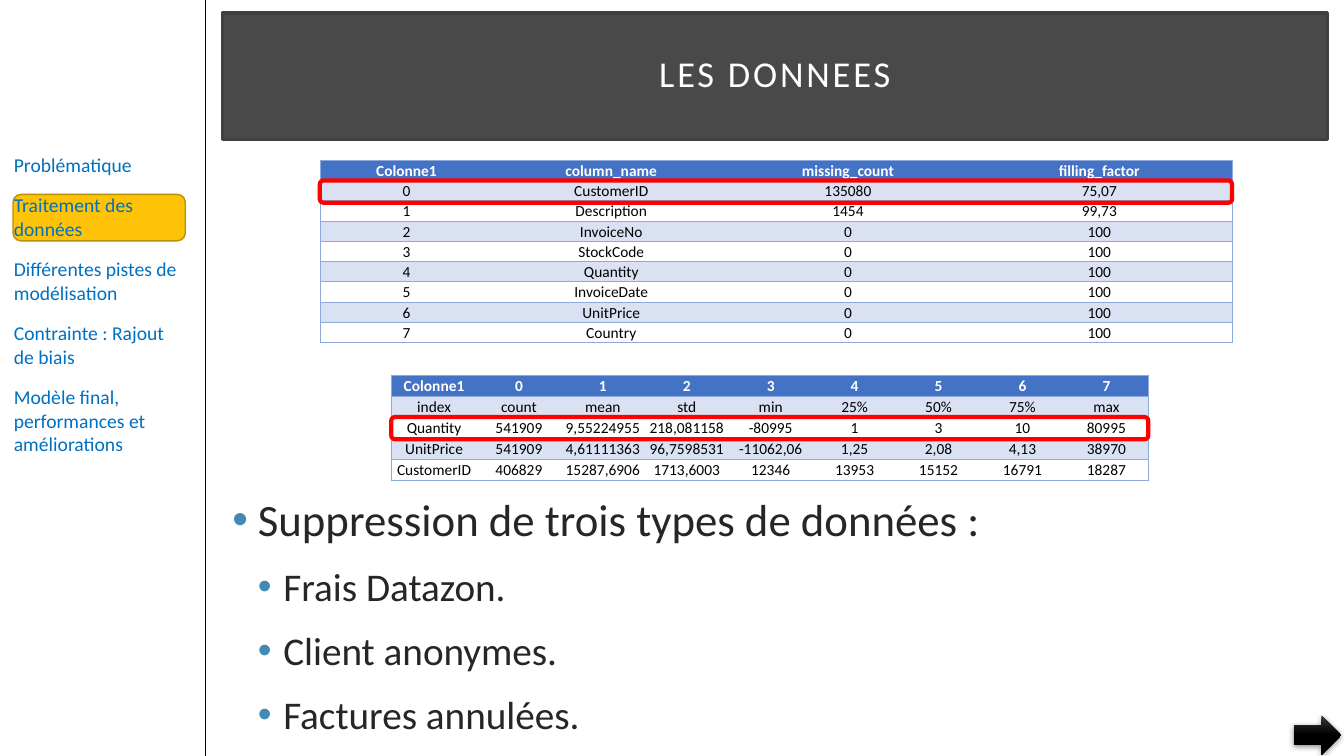
"""Build the "LES DONNEES" slide: navigation sidebar, two data tables and a bullet list."""
from dataclasses import dataclass

from lxml import etree
from pptx import Presentation
from pptx import util as u
from pptx.dml.color import RGBColor
from pptx.enum import shapes, text
from pptx.oxml.ns import qn


@dataclass(frozen=True)
class Theme:
    font: str = "Calibri"
    nav: str = "0070C0"
    active: str = "FEC306"
    active_line: str = "BC9004"
    banner: str = "0D0D0D"
    banner_line: str = "404040"
    white: str = "FFFFFF"
    black: str = "000000"
    gloss: str = "393939"
    header: str = "4472C4"
    band: str = "D9E1F2"
    border: str = "8EA9DB"
    highlight: str = "FF0000"
    body: str = "262626"
    bullet: str = "418AB3"
    nav_size: int = 14
    title_size: int = 26
    table_size: int = 11
    body_size: int = 32
    sub_size: int = 28


theme = Theme()


def add_run(paragraph, words, size, color, bold=False):
    run = paragraph.add_run()
    run.text = words
    run.font.name = theme.font
    run.font.size = u.Pt(size)
    run.font.bold = bold
    run.font.color.rgb = RGBColor.from_string(color)
    return run


def add_element(parent, tag, **attributes):
    return etree.SubElement(parent, qn(tag), {name: str(value) for name, value in attributes.items()})


presentation = Presentation()
presentation.slide_width, presentation.slide_height = u.Cm(33.87), u.Cm(19.05)
slide = presentation.slides.add_slide(presentation.slide_layouts[5])

active_section = slide.shapes.add_shape(
    shapes.MSO_SHAPE.ROUNDED_RECTANGLE, u.Cm(0.33), u.Cm(4.9), u.Cm(4.34), u.Cm(1.17))
active_section.shadow.inherit = False
active_section.fill.solid()
active_section.fill.fore_color.rgb = RGBColor.from_string(theme.active)
active_section.line.color.rgb = RGBColor.from_string(theme.active_line)
active_section.line.width = u.Pt(1)

divider = slide.shapes.add_connector(
    shapes.MSO_CONNECTOR.STRAIGHT, u.Cm(5.18), 0, u.Cm(5.18), presentation.slide_height)
divider.line.color.rgb = RGBColor.from_string(theme.black)
divider.line.width = u.Pt(1)
add_element(divider.element.spPr, "a:effectLst")

sections = ["Problématique", "Traitement des données", "Différentes pistes de modélisation",
            "Contrainte : Rajout de biais", "Modèle final, performances et améliorations"]
sidebar = slide.shapes.add_textbox(u.Cm(0.1), u.Cm(3.73), u.Cm(4.9), u.Cm(7.95)).text_frame
sidebar.word_wrap = True
for index, section in enumerate(sections):
    paragraph = sidebar.add_paragraph() if index else sidebar.paragraphs[0]
    paragraph.space_before = paragraph.space_after = u.Pt(6)
    add_run(paragraph, section, theme.nav_size, theme.nav)

title = slide.shapes.title
title.left, title.top, title.width, title.height = u.Cm(5.61), u.Cm(0.33), u.Cm(27.84), u.Cm(3.18)
title.fill.solid()
title.fill.fore_color.rgb = RGBColor.from_string(theme.banner)
add_element(title.element.spPr.find(qn("a:solidFill"))[0], "a:alpha", val=75000)
title.line.color.rgb = RGBColor.from_string(theme.banner_line)
title.line.width = u.Pt(2.5)
frame = title.text_frame
frame.word_wrap = True
frame.auto_size = text.MSO_AUTO_SIZE.NONE
frame.vertical_anchor = text.MSO_ANCHOR.MIDDLE
frame.margin_left = frame.margin_right = frame.margin_top = frame.margin_bottom = u.Cm(0.51)
paragraph = frame.paragraphs[0]
paragraph.alignment = text.PP_ALIGN.CENTER
paragraph.line_spacing = 0.9
title_run = add_run(paragraph, "LES DONNEES", theme.title_size, theme.white)
title_run.font._element.set("spc", "200")

missing_values = [
    ["Colonne1", "column_name", "missing_count", "filling_factor"],
    ["0", "CustomerID", "135080", "75,07"],
    ["1", "Description", "1454", "99,73"],
    ["2", "InvoiceNo", "0", "100"],
    ["3", "StockCode", "0", "100"],
    ["4", "Quantity", "0", "100"],
    ["5", "InvoiceDate", "0", "100"],
    ["6", "UnitPrice", "0", "100"],
    ["7", "Country", "0", "100"],
]
statistics = [
    ["Colonne1", "0", "1", "2", "3", "4", "5", "6", "7"],
    ["index", "count", "mean", "std", "min", "25%", "50%", "75%", "max"],
    ["Quantity", "541909", "9,55224955", "218,081158", "-80995", "1", "3", "10", "80995"],
    ["UnitPrice", "541909", "4,61111363", "96,7598531", "-11062,06", "1,25", "2,08", "4,13", "38970"],
    ["CustomerID", "406829", "15287,6906", "1713,6003", "12346", "13953", "15152", "16791", "18287"],
]
tables = [
    (missing_values, 8.06, 4.04, [4.37, 5.95, 5.98, 6.69], 0.51, 0.08, 1),
    (statistics, 9.86, 9.45, [2.16] + [2.115] * 8, 0.53, 0.03, 2),
]
for rows, left, top, widths, row_height, margin, highlighted in tables:
    graphic = slide.shapes.add_table(len(rows), len(widths), u.Cm(left), u.Cm(top),
                                     u.Cm(sum(widths)), u.Cm(row_height * len(rows)))
    table = graphic.table
    table.first_row = table.horz_banding = False
    table._tbl.tblPr.find(qn("a:tableStyleId")).text = "{2D5ABB26-0587-4C30-8999-92F81FD0307C}"
    for column, width in zip(table.columns, widths):
        column.width = u.Cm(width)
    for row_index, values in enumerate(rows):
        table.rows[row_index].height = u.Cm(row_height)
        for column_index, value in enumerate(values):
            cell = table.cell(row_index, column_index)
            cell.vertical_anchor = text.MSO_ANCHOR.MIDDLE
            cell.margin_left = cell.margin_right = u.Cm(margin)
            cell.margin_top, cell.margin_bottom = u.Cm(0.03), 0
            sides = ["a:lnT", "a:lnB"]
            if column_index == len(values) - 1:
                sides.insert(0, "a:lnR")
            if column_index == 0:
                sides.insert(0, "a:lnL")
            for side in sides:
                border = add_element(cell._tc.get_or_add_tcPr(), side, w=u.Pt(0.5))
                add_element(add_element(border, "a:solidFill"), "a:srgbClr", val=theme.border)
            if row_index % 2 or row_index == 0:
                cell.fill.solid()
                cell.fill.fore_color.rgb = RGBColor.from_string(theme.band if row_index else theme.header)
            else:
                cell.fill.background()
            paragraph = cell.text_frame.paragraphs[0]
            paragraph.alignment = text.PP_ALIGN.CENTER
            add_run(paragraph, value, theme.table_size,
                    theme.black if row_index else theme.white, bold=row_index == 0)

    outline = slide.shapes.add_shape(
        shapes.MSO_SHAPE.ROUNDED_RECTANGLE, u.Cm(left), u.Cm(top + highlighted * row_height),
        u.Cm(sum(widths)), u.Cm(0.56))
    outline.shadow.inherit = False
    outline.fill.background()
    outline.line.color.rgb = RGBColor.from_string(theme.highlight)
    outline.line.width = u.Pt(3)

next_arrow = slide.shapes.add_shape(
    shapes.MSO_SHAPE.RIGHT_ARROW, u.Cm(32.61), u.Cm(18.03), u.Cm(1.19), u.Cm(0.99))
next_arrow.line.fill.background()
next_arrow.fill.gradient()
next_arrow.fill.gradient_angle = 270
for stop, color, position in zip(next_arrow.fill.gradient_stops, (theme.gloss, theme.black), (0, 0.5)):
    stop.color.rgb = RGBColor.from_string(color)
    stop.position = position
next_arrow.shadow.inherit = False
shadow = add_element(next_arrow.element.spPr.find(qn("a:effectLst")), "a:outerShdw",
                     blurRad=u.Pt(4.4), dist=u.Pt(1.2), dir=5400000, rotWithShape=0)
add_element(add_element(shadow, "a:srgbClr", val=theme.black), "a:alpha", val=45000)

removals = [(0, "Suppression de trois types de données :"), (1, "Frais Datazon."),
            (1, "Client anonymes."), (1, "Factures annulées.")]
content = slide.shapes.add_textbox(u.Cm(5.61), u.Cm(12.27), u.Cm(27.84), u.Cm(6.48)).text_frame
content.word_wrap = True
for index, (level, words) in enumerate(removals):
    paragraph = content.add_paragraph() if index else content.paragraphs[0]
    paragraph.level = level
    paragraph.space_before = paragraph.space_after = u.Pt(6)
    properties = paragraph._p.get_or_add_pPr()
    properties.set("marL", str(u.Cm(0.64 * (level + 1))))
    properties.set("indent", str(-u.Cm(0.64)))
    add_element(add_element(properties, "a:buClr"), "a:srgbClr", val=theme.bullet)
    add_element(properties, "a:buFont", typeface="Arial")
    add_element(properties, "a:buChar", char="•")
    add_run(paragraph, words, theme.sub_size if level else theme.body_size, theme.body)

presentation.save("out.pptx")
